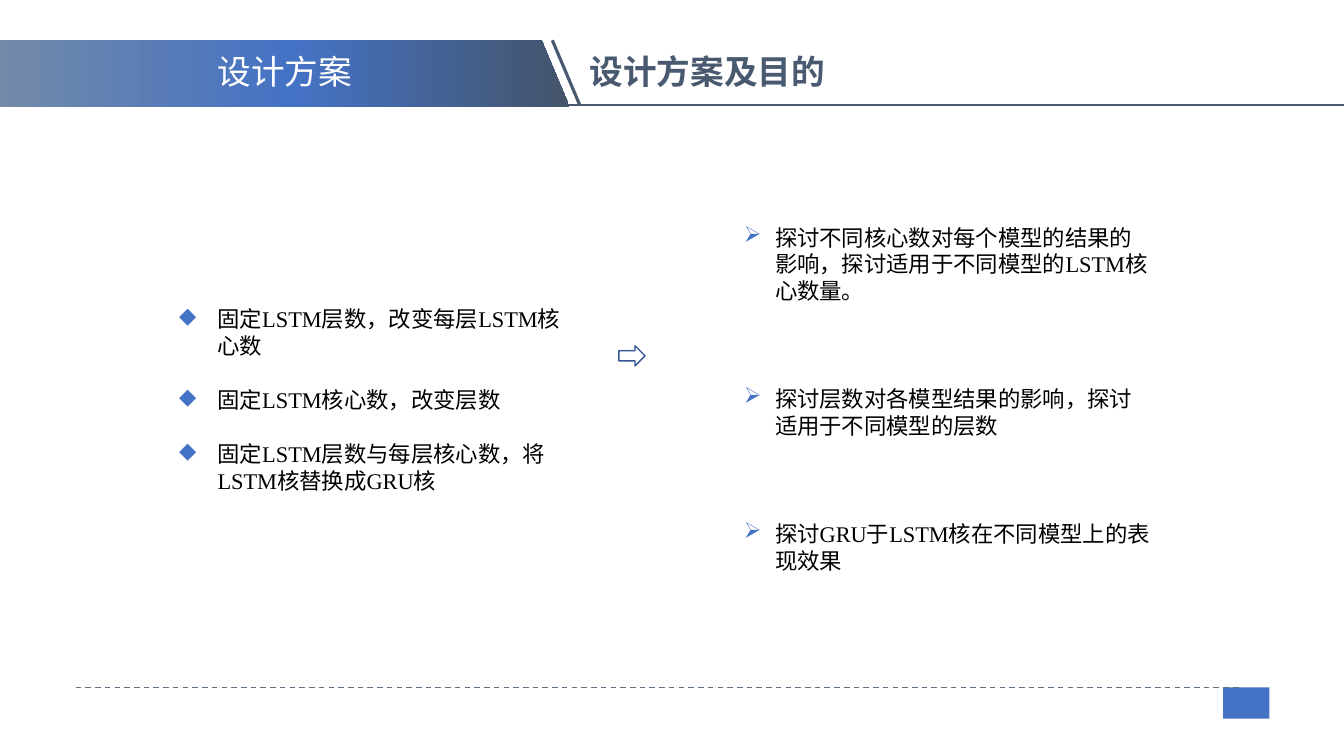
import pptx
import pptx.dml.color
import pptx.enum.dml
import pptx.enum.shapes
import pptx.enum.text
import pptx.oxml
import pptx.oxml.ns
import pptx.util
from lxml import etree

COLORS = {
    "white": "FFFFFF", "black": "000000", "blue": "4472C4", "outline": "325491",
    "slate": "495A70", "dash": "607084", "mist": "768BA6", "night": "44546A",
}
HEADING_FONT = "Noto Sans CJK SC"
BODY_FONT = "Times New Roman"
WIDTH, HEIGHT = pptx.util.Inches(13.33), pptx.util.Inches(7.5)
SHAPES = pptx.enum.shapes.MSO_SHAPE
BODY_LINE = 19.3  # height of one body line in points

DESIGNS = [
    "固定LSTM层数，改变每层LSTM核心数",
    "固定LSTM核心数，改变层数",
    "固定LSTM层数与每层核心数，将LSTM核替换成GRU核",
]
PURPOSES = [
    "探讨不同核心数对每个模型的结果的影响，探讨适用于不同模型的LSTM核心数量。",
    "探讨层数对各模型结果的影响，探讨适用于不同模型的层数",
    "探讨GRU于LSTM核在不同模型上的表现效果",
]


def color(name):
    """Return the named colour."""
    return pptx.dml.color.RGBColor.from_string(COLORS[name])


def grid(*cells):
    """Turn alternating columns and rows of a 100 by 100 grid into lengths."""
    return [round(cell * (HEIGHT if index % 2 else WIDTH) / 100)
            for index, cell in enumerate(cells)]


def add_block(page, kind, area, fill, line=None):
    """Add a plain preset shape."""
    block = page.shapes.add_shape(kind, *grid(*area))
    block.shadow.inherit = False
    block.fill.solid()
    block.fill.fore_color.rgb = color(fill)
    if line:
        block.line.color.rgb = color(line)
        block.line.width = pptx.util.Pt(1)
    else:
        block.line.fill.background()
    return block


def add_banner(page, area, stops):
    """Add the slanted banner with its left-to-right gradient."""
    banner = add_block(page, SHAPES.PARALLELOGRAM, area, "blue")
    banner.adjustments[0] = 0.42
    properties = banner.element.spPr
    properties.find(pptx.oxml.ns.qn("a:xfrm")).set("flipV", "1")
    marks = "".join(
        f'<a:gs pos="{share * 1000}"><a:srgbClr val="{COLORS[name]}"/></a:gs>'
        for share, name in stops)
    gradient = pptx.oxml.parse_xml(
        f'<a:gradFill {pptx.oxml.ns.nsdecls("a")} rotWithShape="1">'
        f'<a:gsLst>{marks}</a:gsLst><a:lin ang="0" scaled="0"/></a:gradFill>')
    properties.replace(properties.find(pptx.oxml.ns.qn("a:solidFill")), gradient)


def add_rule(page, ends, name, width, dashed=False):
    """Add a straight line between two grid points."""
    rule = page.shapes.add_connector(
        pptx.enum.shapes.MSO_CONNECTOR.STRAIGHT, *grid(*ends))
    rule.line.color.rgb = color(name)
    rule.line.width = pptx.util.Pt(width)
    if dashed:
        rule.line.dash_style = pptx.enum.dml.MSO_LINE.DASH
    etree.SubElement(rule.element.spPr, pptx.oxml.ns.qn("a:effectLst"))


def add_frame(page, area):
    """Add an empty wrapping text box and return its text frame."""
    frame = page.shapes.add_textbox(*grid(*area)).text_frame
    frame.word_wrap = True
    frame.auto_size = pptx.enum.text.MSO_AUTO_SIZE.SHAPE_TO_FIT_TEXT
    return frame


def add_span(para, words, size, font, name, bold=False):
    """Add one run, with the heading font for Chinese characters."""
    span = para.add_run()
    span.text = words
    span.font.size = pptx.util.Pt(size)
    span.font.name = font
    span.font.bold = bold
    span.font.color.rgb = color(name)
    east = etree.SubElement(span.font._element, pptx.oxml.ns.qn("a:ea"))
    east.set("typeface", HEADING_FONT)


def add_heading(page, area, words, name, bold=False):
    """Add a one-line heading."""
    para = add_frame(page, area).paragraphs[0]
    add_span(para, words, 24, HEADING_FONT, name, bold)


def add_bullet(para, mark, indent):
    """Give a paragraph a blue bullet and a hanging indent in inches."""
    properties = para._p.get_or_add_pPr()
    hang = pptx.util.Inches(indent)
    properties.set("marL", str(hang))
    properties.set("indent", str(-hang))
    tint = etree.SubElement(properties, pptx.oxml.ns.qn("a:buClr"))
    etree.SubElement(tint, pptx.oxml.ns.qn("a:srgbClr")).set("val", COLORS["blue"])
    etree.SubElement(properties, pptx.oxml.ns.qn("a:buChar")).set("char", mark)


def add_list(page, area, items, mark, indent, gap_lines):
    """Add a bulleted list whose items are some body lines apart."""
    frame = add_frame(page, area)
    for index, words in enumerate(items):
        para = frame.add_paragraph() if index else frame.paragraphs[0]
        if index:
            para.space_before = pptx.util.Pt(gap_lines * BODY_LINE)
        add_bullet(para, mark, indent)
        add_span(para, words, 16, BODY_FONT, "black")


def main():
    """Build the slide and save it."""
    deck = pptx.Presentation()
    deck.slide_width, deck.slide_height = WIDTH, HEIGHT
    page = deck.slides.add_slide(deck.slide_layouts[6])

    add_block(page, SHAPES.RECTANGLE, (91, 90.93, 3.45, 4.13), "blue")
    add_rule(page, (39.45, 13.87, 101.8, 13.87), "slate", 1.75)
    add_banner(page, (-2.03, 5.33, 44.4, 8.8),
               [(0, "mist"), (54, "blue"), (100, "night")])
    add_heading(page, (15.45, 6.13, 25.65, 6.67), "设计方案", "white")
    add_heading(page, (43.13, 6.13, 19.2, 6.67), "设计方案及目的", "slate", True)
    add_rule(page, (41.1, 5.33, 43.13, 13.87), "slate", 2.25)
    add_rule(page, (5.63, 90.93, 92.4, 90.93), "dash", 1, dashed=True)

    add_list(page, (12.6, 39.73, 30.15, 30.13), DESIGNS, "◆", 0.38, 1)
    add_block(page, SHAPES.RIGHT_ARROW, (46.05, 45.73, 1.95, 2.67), "white", "outline")
    add_list(page, (54.6, 28.93, 32.03, 48), PURPOSES, "➢", 0.31, 3)
    deck.save("out.pptx")


main()
